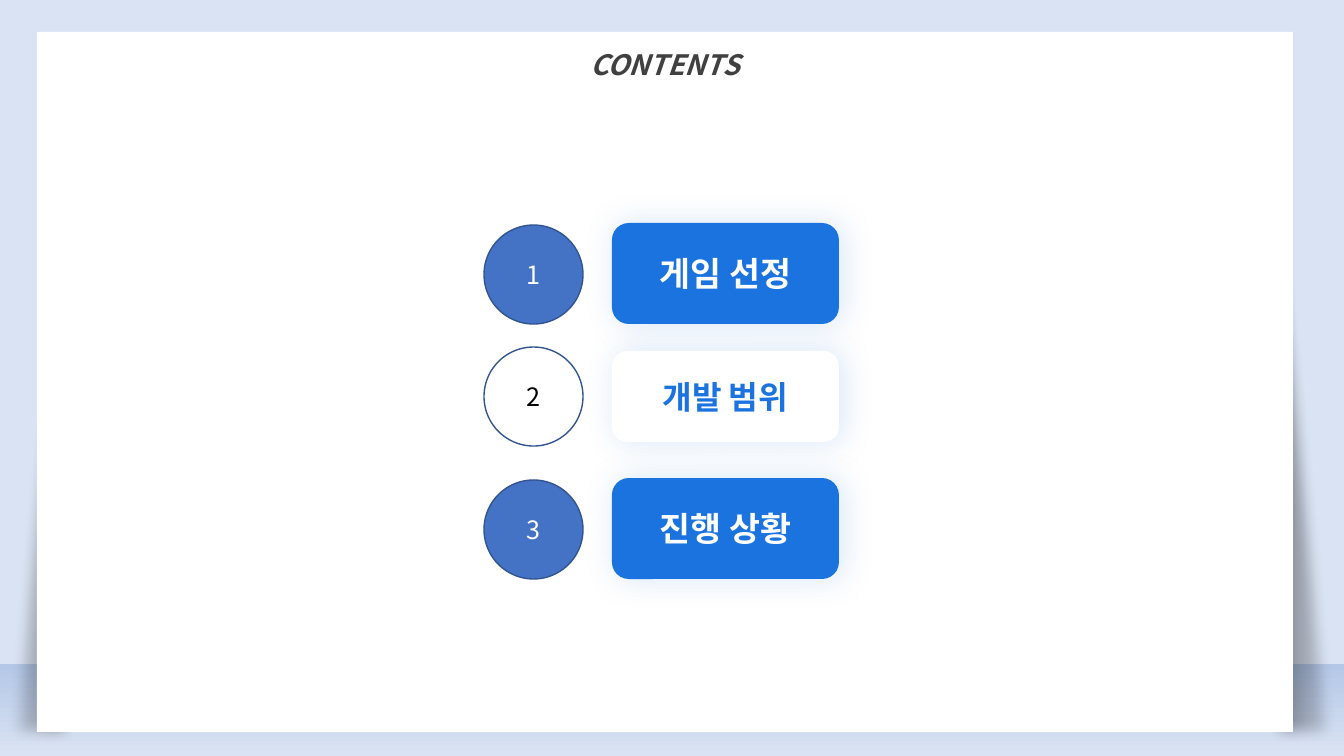
from lxml.etree import SubElement
from pptx import Presentation
from pptx.dml.color import RGBColor
from pptx.enum.shapes import MSO_SHAPE
from pptx.enum.text import MSO_ANCHOR, PP_ALIGN
from pptx.oxml.ns import qn
from pptx.util import Emu, Pt

PIXEL = 914400 / 100.8
FONT = "Noto Sans CJK KR"
WHITE = RGBColor(0xFF, 0xFF, 0xFF)
BLACK = RGBColor(0, 0, 0)
TITLE_GRAY = RGBColor(0x40, 0x40, 0x40)
PALE_BLUE = RGBColor(0xDA, 0xE3, 0xF3)
FLOOR_BLUE = RGBColor(0xB4, 0xC7, 0xE7)
BUTTON_BLUE = RGBColor(0x1A, 0x73, 0xDE)
CIRCLE_BLUE = RGBColor(0x44, 0x72, 0xC4)
CIRCLE_LINE = RGBColor(0x32, 0x54, 0x91)

presentation = Presentation()
presentation.slide_width = Emu(round(1344 * PIXEL))
presentation.slide_height = Emu(round(756 * PIXEL))
slide = presentation.slides.add_slide(presentation.slide_layouts[6])
slide.background.fill.solid()
slide.background.fill.fore_color.rgb = PALE_BLUE


def add_block(kind, left, top, width, height, fill=None):
    lengths = [Emu(round(n * PIXEL)) for n in (left, top, width, height)]
    shape = slide.shapes.add_shape(kind, *lengths)
    shape.shadow.inherit = False
    shape.line.fill.background()
    if fill is not None:
        shape.fill.solid()
        shape.fill.fore_color.rgb = fill
    return shape


def write(shape, text, size, color, bold=False, italic=False):
    paragraph = shape.text_frame.paragraphs[0]
    paragraph.text = text
    paragraph.alignment = PP_ALIGN.CENTER
    run = paragraph.runs[0]
    run.font.name = FONT
    run.font.size = Pt(size)
    run.font.color.rgb = color
    run.font.bold = bold
    run.font.italic = italic
    SubElement(run.font._element, qn("a:ea"), typeface=FONT)


# Floor band
floor = add_block(MSO_SHAPE.RECTANGLE, 0, 664, 1344, 92)
floor.fill.gradient()
floor.fill.gradient_angle = 270
for stop, color in zip(floor.fill.gradient_stops, (FLOOR_BLUE, PALE_BLUE)):
    stop.color.rgb = color

# Soft side shadows of the page
for left, flipped in ((0, True), (1268, False)):
    side = add_block(MSO_SHAPE.RIGHT_TRIANGLE, left, 0, 76, 744)
    side.fill.gradient()
    side.fill.gradient_angle = 180
    for stop, opacity in zip(side.fill.gradient_stops, (0, 48000)):
        stop.color.rgb = BLACK
    properties = side._element.spPr
    for color, opacity in zip(properties.iter(qn("a:srgbClr")), (0, 48000)):
        SubElement(color, qn("a:alpha"), val=str(opacity))
    if flipped:
        properties.find(qn("a:xfrm")).set("flipH", "1")
    effects = properties.find(qn("a:effectLst"))
    SubElement(effects, qn("a:softEdge"), rad=str(Pt(10)))

# Page with title
page = add_block(MSO_SHAPE.RECTANGLE, 37, 32, 1256, 700, WHITE)
page.text_frame.vertical_anchor = MSO_ANCHOR.TOP
page.text_frame.margin_top = Emu(round(16 * PIXEL))
write(page, "CONTENTS", 20, TITLE_GRAY, bold=True, italic=True)

# Contents: circle top, button top, button height, label size, highlighted
rows = [
    ("게임 선정", 225, 223, 101, 24, True),
    ("개발 범위", 347, 351, 91, 23, False),
    ("진행 상황", 480, 478, 101, 24, True),
]
for number, row in enumerate(rows, 1):
    label, circle_top, button_top, button_height, size, highlighted = row
    circle = add_block(MSO_SHAPE.FLOWCHART_CONNECTOR, 484, circle_top, 99, 99,
                       CIRCLE_BLUE if highlighted else WHITE)
    circle.line.color.rgb = CIRCLE_LINE
    circle.line.width = Pt(1)
    write(circle, str(number), 18, WHITE if highlighted else BLACK)

    button = add_block(MSO_SHAPE.ROUNDED_RECTANGLE, 612, button_top, 227,
                       button_height, BUTTON_BLUE if highlighted else WHITE)
    write(button, label, size, WHITE if highlighted else BUTTON_BLUE, bold=True)
    effects = button._element.spPr.find(qn("a:effectLst"))
    shadow = SubElement(effects, qn("a:outerShdw"), blurRad=str(Pt(23)),
                        dist=str(Pt(3)), dir="0", algn="ctr", rotWithShape="0")
    glow = SubElement(shadow, qn("a:srgbClr"), val=str(BUTTON_BLUE))
    SubElement(glow, qn("a:alpha"), val="17000")

presentation.save("out.pptx")
